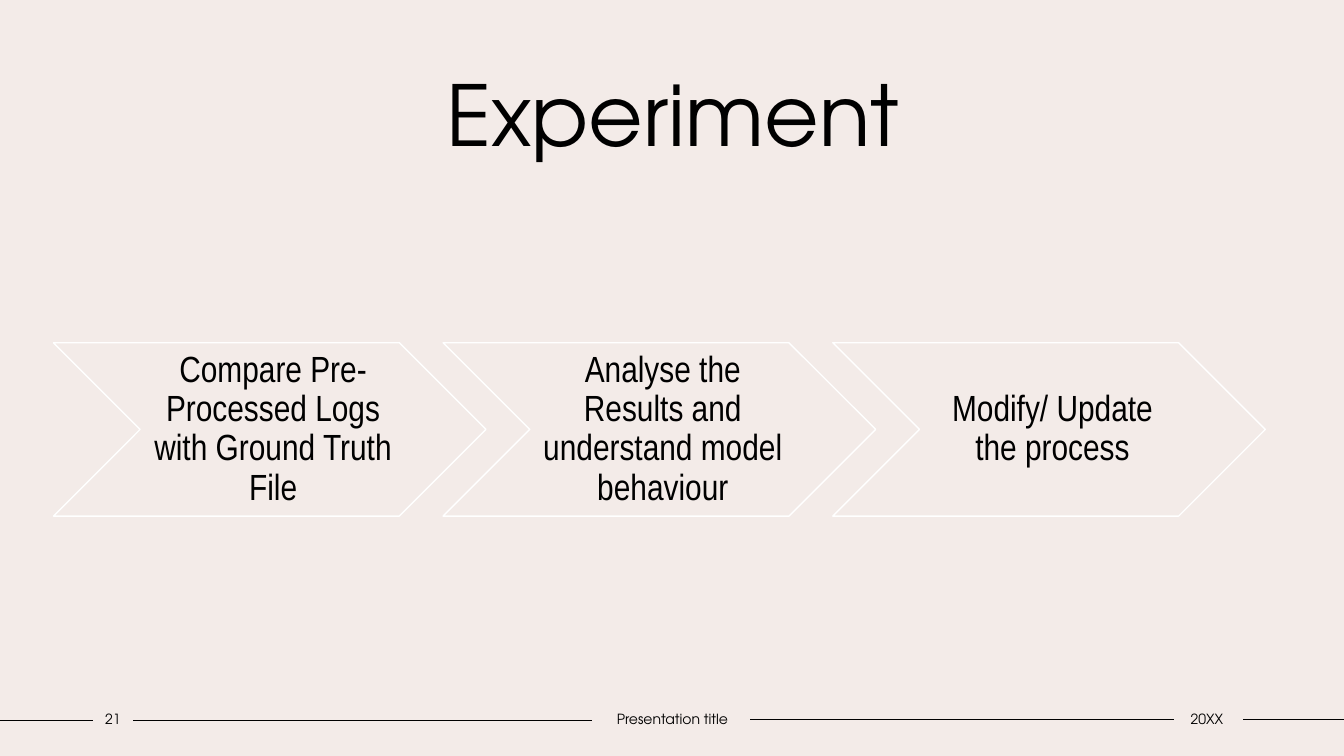
from pptx import Presentation
from pptx.dml.color import RGBColor
from pptx.enum.shapes import MSO_CONNECTOR, MSO_SHAPE
from pptx.enum.text import MSO_ANCHOR, PP_ALIGN
from pptx.oxml.ns import qn
from pptx.util import Inches, Pt
from lxml import etree

CHEVRON = MSO_SHAPE.CHEVRON
STRAIGHT = MSO_CONNECTOR.STRAIGHT
MIDDLE = MSO_ANCHOR.MIDDLE
CENTER = PP_ALIGN.CENTER

BLACK = RGBColor(0x00, 0x00, 0x00)
WHITE = RGBColor(0xFF, 0xFF, 0xFF)
BLUSH = RGBColor(0xF3, 0xEB, 0xE8)

HEAD_FONT = "TeX Gyre Adventor"
STEP_FONT = "Arial Narrow"

STEPS = [
    "Compare Pre-Processed Logs with Ground Truth File",
    "Analyse the Results and understand model behaviour",
    "Modify/ Update the process",
]
STEP_LEFT, STEP_TOP, STEP_PITCH = 0.53, 3.4, 3.865
STEP_WIDTH, STEP_HEIGHT = 4.29, 1.72
STEP_INSETS = (0.11, 0.04, 0.04, 0.04)

RULES = [(0, 0.92, 7.15), (1.32, 5.87, 7.15), (7.44, 11.64, 7.14), (12.33, 13.33, 7.14)]
FOOTERS = [("21", 0.92, 0.4), ("Presentation title", 5.87, 1.6), ("20XX", 11.62, 0.7)]
FOOT_INSETS = (0, 0.05, 0, 0.05)


def apply(target, values):
    for name, value in values.items():
        setattr(target, name, value)


def add_text(slide, text, box, font, size, insets, spacing=1.0):
    frame = slide.shapes.add_textbox(*map(Inches, box)).text_frame
    left, top, right, bottom = map(Inches, insets)
    apply(frame, {
        "word_wrap": True,
        "vertical_anchor": MIDDLE,
        "margin_left": left,
        "margin_top": top,
        "margin_right": right,
        "margin_bottom": bottom,
    })
    para = frame.paragraphs[0]
    apply(para, {"alignment": CENTER, "line_spacing": spacing})
    run = para.add_run()
    run.text = text
    apply(run.font, {"name": font, "size": Pt(size)})
    run.font.color.rgb = BLACK


def add_rule(slide, start, end, top):
    rule = slide.shapes.add_connector(
        STRAIGHT, Inches(start), Inches(top), Inches(end), Inches(top))
    rule.line.color.rgb = BLACK
    rule.line.width = Pt(1)
    etree.SubElement(rule._element.spPr, qn("a:effectLst"))


def add_step(slide, text, left):
    box = (left, STEP_TOP, STEP_WIDTH, STEP_HEIGHT)
    arrow = slide.shapes.add_shape(CHEVRON, *map(Inches, box))
    arrow.shadow.inherit = False
    arrow.fill.solid()
    arrow.fill.fore_color.rgb = BLUSH
    arrow.line.color.rgb = WHITE
    arrow.line.width = Pt(1)
    notch = STEP_HEIGHT / 2
    inner = (left + notch, STEP_TOP, STEP_WIDTH - 2 * notch, STEP_HEIGHT)
    add_text(slide, text, inner, STEP_FONT, 26, STEP_INSETS, 0.9)


def main():
    deck = Presentation()
    apply(deck, {"slide_width": Inches(13.33), "slide_height": Inches(7.5)})
    slide = deck.slides.add_slide(deck.slide_layouts[6])
    slide.background.fill.solid()
    slide.background.fill.fore_color.rgb = BLUSH

    for start, end, top in RULES:
        add_rule(slide, start, end, top)
    add_text(slide, "Experiment", (1.25, 0.56, 10.84, 1.11),
             HEAD_FONT, 60, (0.1, 0.05, 0.1, 0.05))
    for index, text in enumerate(STEPS):
        add_step(slide, text, STEP_LEFT + index * STEP_PITCH)
    for text, left, width in FOOTERS:
        add_text(slide, text, (left, 7, width, 0.27), HEAD_FONT, 10, FOOT_INSETS)

    deck.save("out.pptx")


if __name__ == "__main__":
    main()
